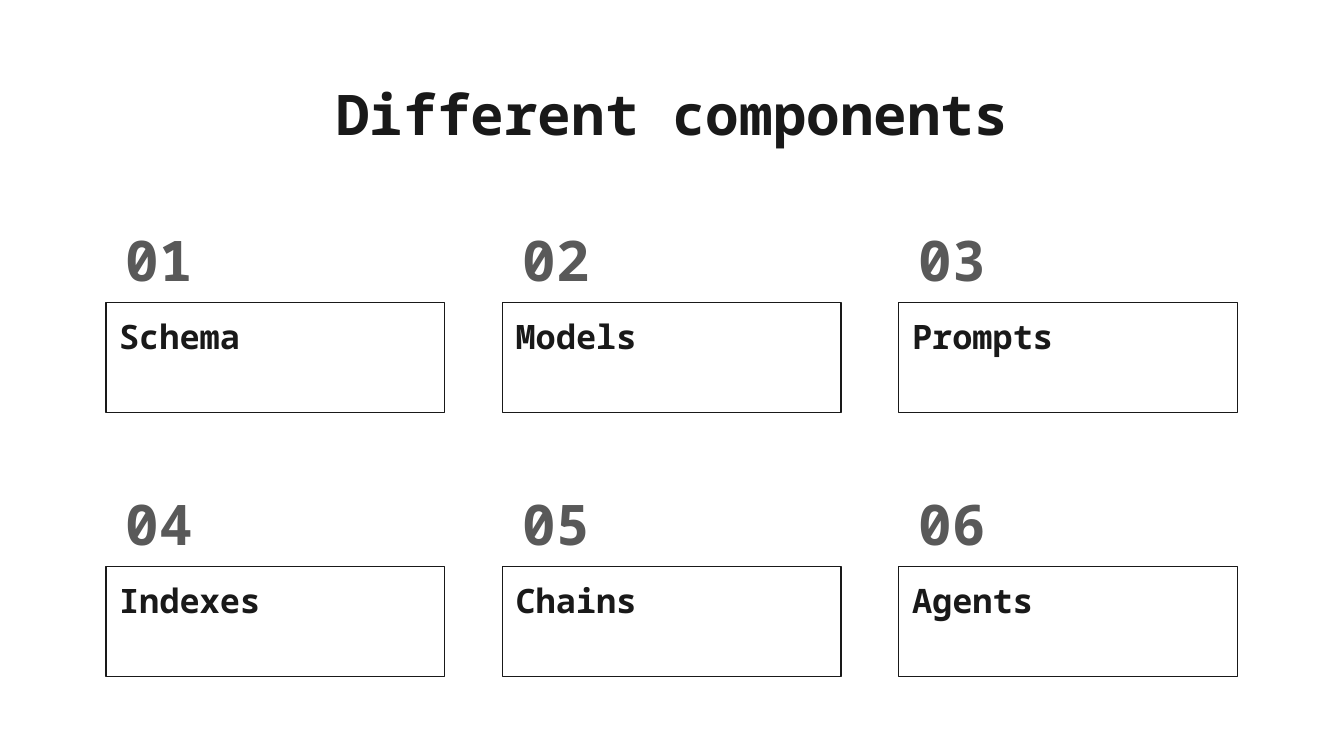
from dataclasses import dataclass

from pptx import Presentation
from pptx.dml.color import RGBColor
from pptx.enum.shapes import MSO_SHAPE
from pptx.enum.text import MSO_ANCHOR, MSO_AUTO_SIZE, PP_ALIGN
from pptx.util import Pt

RECTANGLE = MSO_SHAPE.RECTANGLE
TOP, MIDDLE = MSO_ANCHOR.TOP, MSO_ANCHOR.MIDDLE
LEFT, CENTER = PP_ALIGN.LEFT, PP_ALIGN.CENTER
NO_AUTOFIT = MSO_AUTO_SIZE.NONE
TITLE_ONLY = 5


@dataclass(frozen=True)
class Theme:
    font: str = "Noto Sans Mono"
    ink: RGBColor = RGBColor(0x19, 0x19, 0x19)
    number_color: RGBColor = RGBColor(0x59, 0x59, 0x59)
    heading_size: int = 30
    label_size: int = 18
    inset: float = 7.2
    outline: float = 0.75


THEME = Theme()
COMPONENTS = ["Schema", "Models", "Prompts", "Indexes", "Chains", "Agents"]

# Grid of components, in points
COLUMNS = 3
GRID_LEFT, GRID_TOP = 56.7, 116
COLUMN_STEP, ROW_STEP = 212.4, 141.5
NUMBER_WIDTH, NUMBER_HEIGHT = 57.6, 46
BOX_WIDTH, BOX_HEIGHT = 181.5, 59


def set_text(shape, text, size, color, alignment, anchor):
    text_frame = shape.text_frame
    text_frame.text = text
    text_frame.word_wrap = True
    text_frame.auto_size = NO_AUTOFIT
    text_frame.vertical_anchor = anchor
    text_frame.margin_left = text_frame.margin_right = Pt(THEME.inset)
    text_frame.margin_top = text_frame.margin_bottom = Pt(THEME.inset)
    paragraph = text_frame.paragraphs[0]
    paragraph.alignment = alignment
    font = paragraph.runs[0].font
    font.name = THEME.font
    font.size = Pt(size)
    font.bold = True
    font.color.rgb = color


def place_title(slide, text):
    title = slide.shapes.title
    title.left, title.top = Pt(GRID_LEFT), Pt(35.3)
    title.width, title.height = Pt(607), Pt(45.4)
    set_text(title, text, THEME.heading_size, THEME.ink, CENTER, TOP)


def add_number(slide, number, left, top):
    text_box = slide.shapes.add_textbox(
        Pt(left), Pt(top), Pt(NUMBER_WIDTH), Pt(NUMBER_HEIGHT))
    set_text(text_box, f"{number:02}", THEME.heading_size,
             THEME.number_color, CENTER, MIDDLE)


def add_label_box(slide, label, left, top):
    box = slide.shapes.add_shape(
        RECTANGLE, Pt(left), Pt(top), Pt(BOX_WIDTH), Pt(BOX_HEIGHT))
    box.shadow.inherit = False
    box.fill.background()
    box.line.color.rgb = THEME.ink
    box.line.width = Pt(THEME.outline)
    set_text(box, label, THEME.label_size, THEME.ink, LEFT, TOP)


def main():
    presentation = Presentation()
    presentation.slide_width, presentation.slide_height = Pt(720), Pt(405)
    slide = presentation.slides.add_slide(
        presentation.slide_layouts[TITLE_ONLY])

    # Title
    place_title(slide, "Different components")

    # Numbered components, row by row
    for index, label in enumerate(COMPONENTS):
        row, column = divmod(index, COLUMNS)
        left = GRID_LEFT + column * COLUMN_STEP
        top = GRID_TOP + row * ROW_STEP
        add_number(slide, index + 1, left, top)
        add_label_box(slide, label, left, top + NUMBER_HEIGHT)

    presentation.save("out.pptx")


if __name__ == "__main__":
    main()
